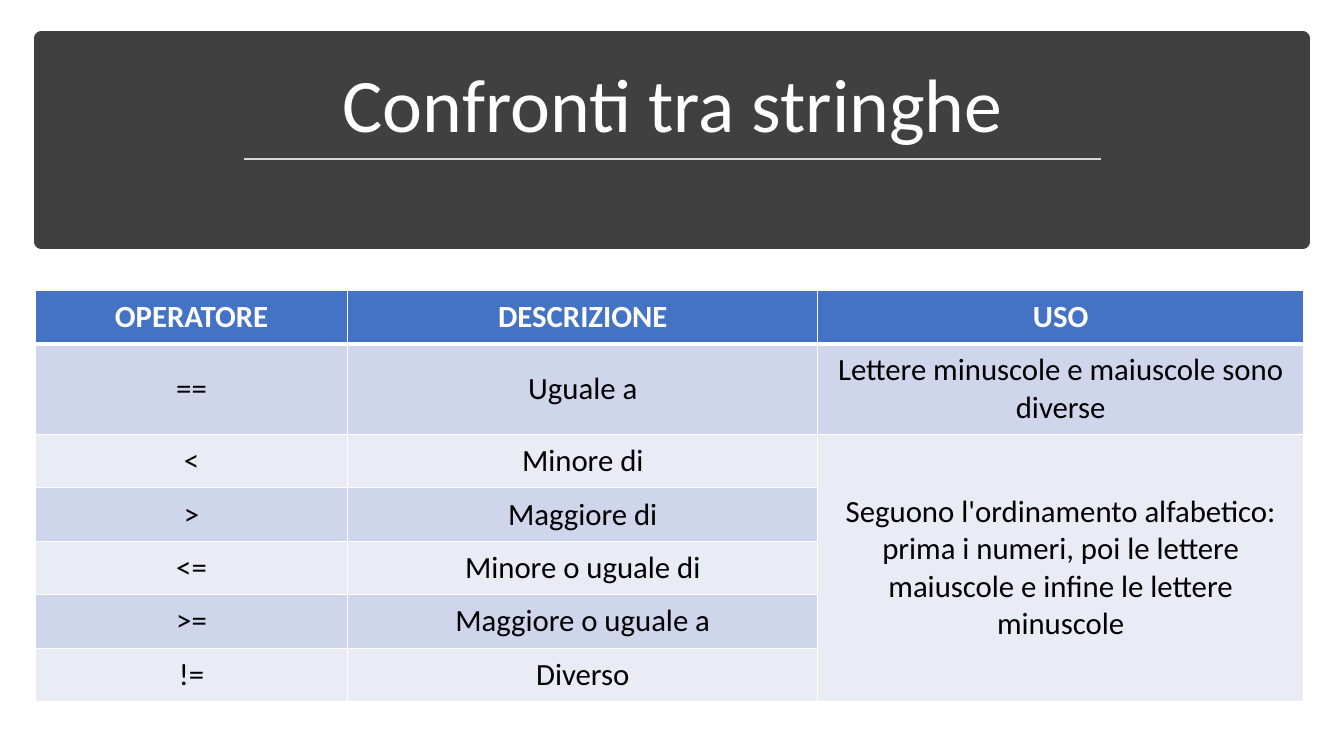
from lxml.etree import SubElement
from pptx import Presentation
from pptx.dml.color import RGBColor
from pptx.enum.shapes import MSO_CONNECTOR, MSO_SHAPE
from pptx.enum.text import MSO_ANCHOR, PP_ALIGN
from pptx.oxml.ns import qn
from pptx.util import Inches, Pt

WHITE = RGBColor(0xFF, 0xFF, 0xFF)
BLACK = RGBColor(0x00, 0x00, 0x00)
DARK = RGBColor(0x40, 0x40, 0x40)
RULE = RGBColor(0xD9, 0xD9, 0xD9)
BLUE = RGBColor(0x44, 0x72, 0xC4)
BANDS = [RGBColor(0xE9, 0xEB, 0xF5), RGBColor(0xCF, 0xD5, 0xEA)]

COLS = [3.1, 4.66, 4.82]
ROWS = [0.53, 0.9] + [0.53] * 5
CELLS = [
    ["OPERATORE", "DESCRIZIONE", "USO"],
    ["==", "Uguale a", "Lettere minuscole e maiuscole sono diverse"],
    ["<", "Minore di", "Seguono l'ordinamento alfabetico: prima i numeri, "
     "poi le lettere maiuscole e infine le lettere minuscole"],
    [">", "Maggiore di", ""],
    ["<=", "Minore o uguale di", ""],
    [">=", "Maggiore o uguale a", ""],
    ["!=", "Diverso", ""],
]


def format_text(p, size, color, bold=False):
    p.alignment = PP_ALIGN.CENTER
    for r in p.runs:
        r.font.name = "Calibri"
        r.font.size = Pt(size)
        r.font.bold = bold
        r.font.color.rgb = color


def add_border(cell, side, width):
    ln = SubElement(cell._tc.get_or_add_tcPr(), qn(f"a:ln{side}"), w=str(Pt(width)))
    fill = SubElement(ln, qn("a:solidFill"))
    SubElement(fill, qn("a:srgbClr"), val=str(WHITE))


prs = Presentation()
prs.slide_width = Inches(13.33)
prs.slide_height = Inches(7.5)
s = prs.slides.add_slide(prs.slide_layouts[6])

banner = s.shapes.add_shape(
    MSO_SHAPE.RECTANGLE, Inches(0.41), Inches(0.38), Inches(12.51), Inches(2.02))
banner.shadow.inherit = False
banner.fill.solid()
banner.fill.fore_color.rgb = DARK
banner.line.color.rgb = DARK
banner.line.width = Pt(10)

title = s.shapes.add_textbox(Inches(0.58), Inches(0.51), Inches(12.18), Inches(1.02))
tf = title.text_frame
tf.word_wrap = True
tf.vertical_anchor = MSO_ANCHOR.BOTTOM
tf.text = "Confronti tra stringhe"
tf.paragraphs[0].line_spacing = 0.9
format_text(tf.paragraphs[0], 54, WHITE)

rule = s.shapes.add_connector(
    MSO_CONNECTOR.STRAIGHT, Inches(2.42), Inches(1.58), Inches(10.92), Inches(1.58))
rule.line.color.rgb = RULE
rule.line.width = Pt(1.75)
SubElement(rule._element.spPr, qn("a:effectLst"))

table = s.shapes.add_table(
    len(ROWS), len(COLS), Inches(0.35), Inches(2.88),
    Inches(sum(COLS)), Inches(sum(ROWS))).table
for column, width in zip(table.columns, COLS):
    column.width = Inches(width)
for row, height in zip(table.rows, ROWS):
    row.height = Inches(height)

for i, texts in enumerate(CELLS):
    for j, text in enumerate(texts):
        cell = table.cell(i, j)
        cell.text = text
        cell.vertical_anchor = MSO_ANCHOR.MIDDLE
        cell.margin_left = cell.margin_right = Inches(0.12)
        cell.margin_top = cell.margin_bottom = Inches(0.06)
        format_text(cell.text_frame.paragraphs[0], 22, BLACK if i else WHITE, i == 0)
        for side in "LRTB":
            add_border(cell, side, 3 if (i, side) in [(0, "B"), (1, "T")] else 1)
        cell.fill.solid()
        cell.fill.fore_color.rgb = BANDS[i % 2] if i else BLUE
table.cell(2, 2).merge(table.cell(6, 2))

prs.save("out.pptx")
